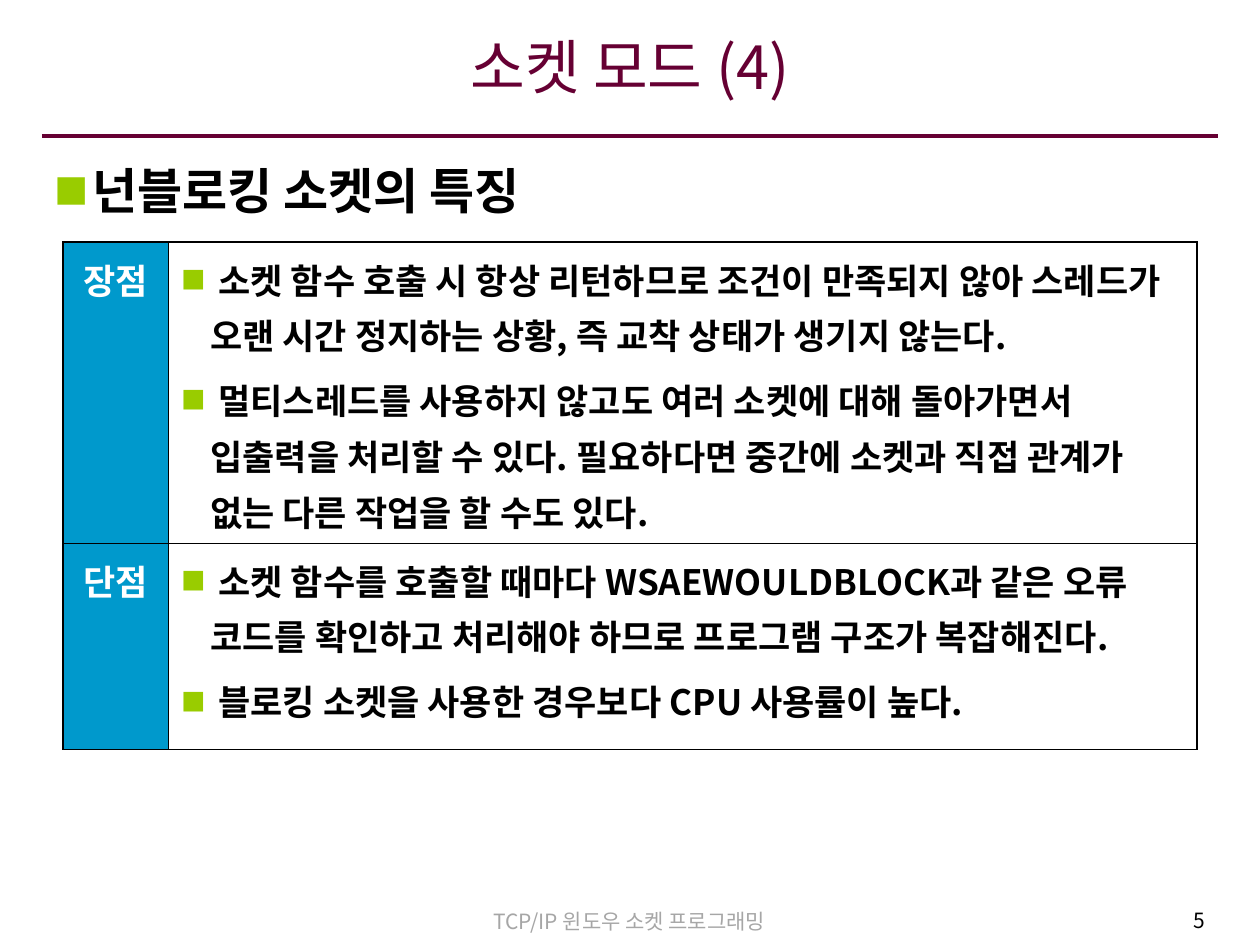
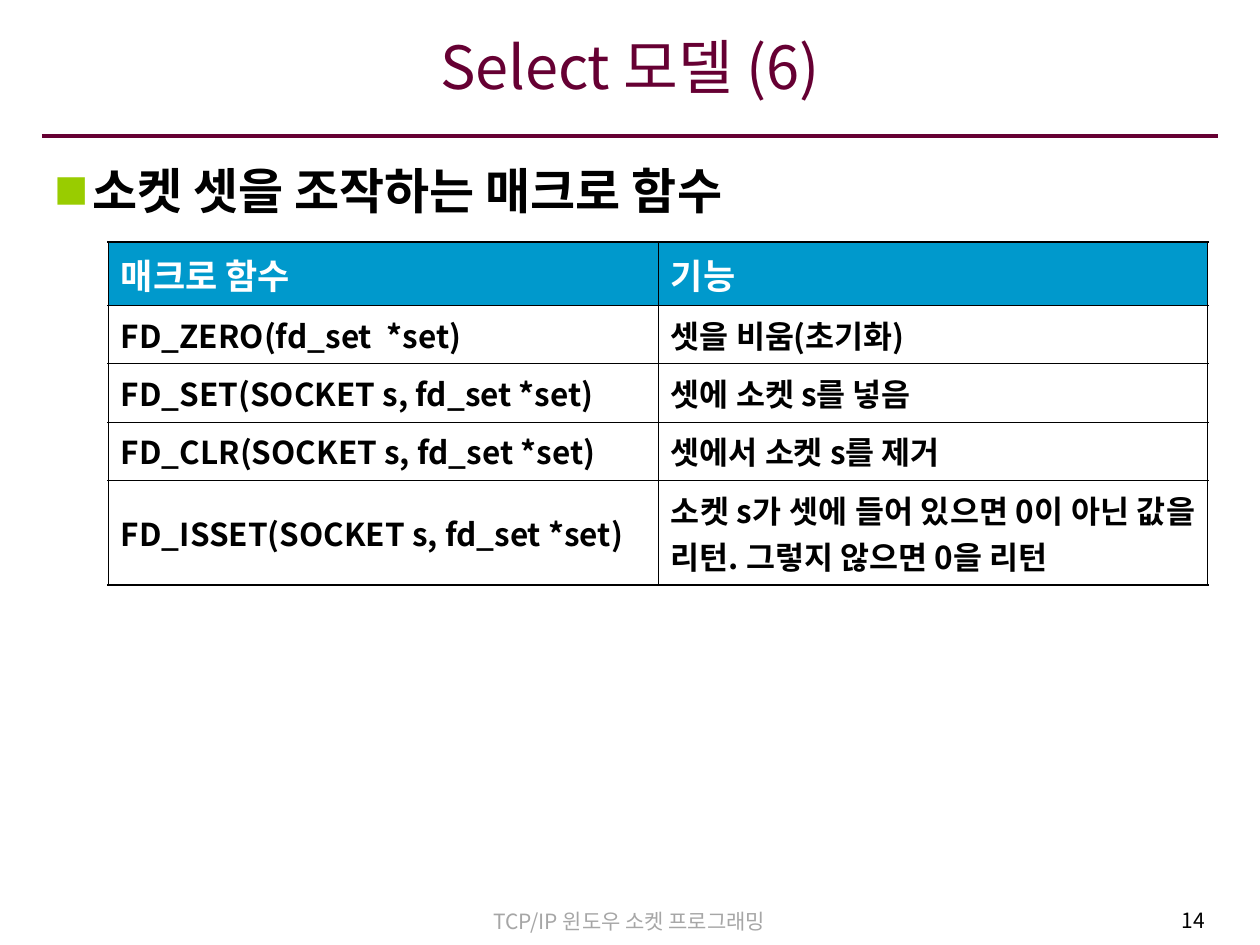
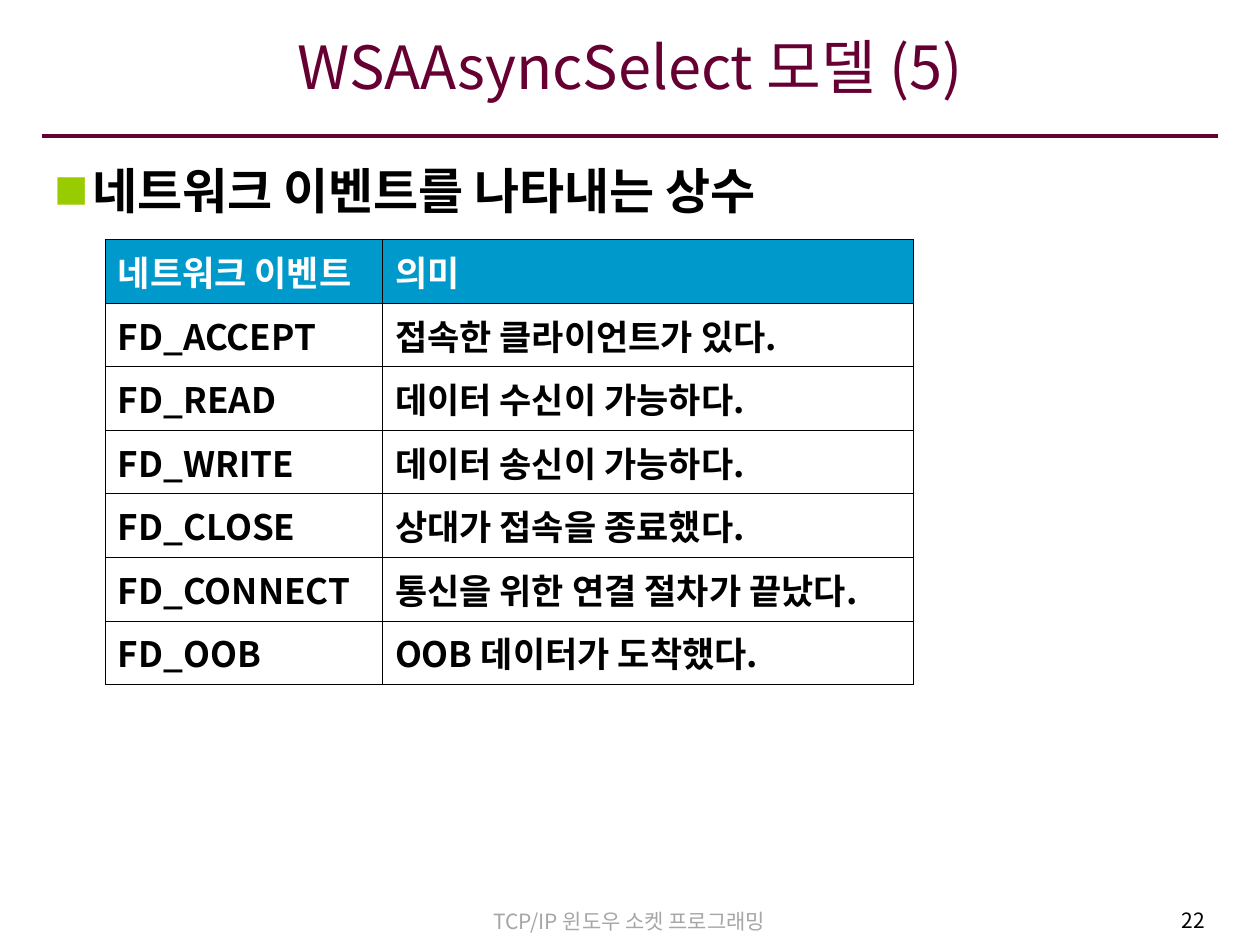
from lxml.etree import SubElement
from pptx import Presentation
from pptx.dml.color import RGBColor
from pptx.enum.shapes import MSO_CONNECTOR
from pptx.enum.text import MSO_ANCHOR, MSO_AUTO_SIZE, PP_ALIGN
from pptx.oxml.ns import qn
from pptx.util import Inches, Pt

FONT = "Noto Sans CJK KR"
PLUM, LIME, BLUE = "660033", "99CC00", "0099CC"
BLACK, WHITE, GREY = "000000", "FFFFFF", "A6A6A6"
THICK, THIN = 1.08, 0.45
LEFT, CENTER, RIGHT, JUSTIFY = (
    PP_ALIGN.LEFT, PP_ALIGN.CENTER, PP_ALIGN.RIGHT, PP_ALIGN.JUSTIFY)
TOP, MIDDLE = MSO_ANCHOR.TOP, MSO_ANCHOR.MIDDLE
FOOTER = "TCP/IP 윈도우 소켓 프로그래밍"


def rgb(hex_color):
    return RGBColor.from_string(hex_color)


def grid(n):
    """Length of n cells of the 100 by 75 slide grid."""
    return Inches(n / 10)


def assign(obj, values):
    for name, value in values.items():
        setattr(obj, name, value)


def add_xml(parent, tag, **attrs):
    return SubElement(parent, qn(tag), attrs)


def add_bullet(p, indent):
    pPr = p._p.get_or_add_pPr()
    pPr.set("marL", str(grid(indent)))
    pPr.set("indent", str(-grid(indent)))
    add_xml(add_xml(pPr, "a:buClr"), "a:srgbClr", val=LIME)
    add_xml(pPr, "a:buSzPct", val="70000")
    add_xml(pPr, "a:buFont", typeface=FONT)
    add_xml(pPr, "a:buChar", char="■")


def add_borders(cell, widths):
    tcPr = cell._tc.get_or_add_tcPr()
    for side, width in zip("LRTB", widths):
        ln = add_xml(tcPr, f"a:ln{side}", w=str(Pt(width)))
        add_xml(add_xml(ln, "a:solidFill"), "a:srgbClr", val=BLACK)


class Deck:
    def __init__(self):
        self.prs = Presentation()
        assign(self.prs, {"slide_width": grid(100), "slide_height": grid(75)})
        self.s = None

    def fill_text(self, tf, lines, size, color, bold=False, bullet=0, **para):
        """Fill a text frame; bullet is the hanging indent in grid cells."""
        lines = [lines] if isinstance(lines, str) else lines
        for i, line in enumerate(lines):
            p = tf.add_paragraph() if i else tf.paragraphs[0]
            assign(p, para)
            if bullet:
                add_bullet(p, bullet)
            r = p.add_run()
            r.text = line
            assign(r.font, {"size": Pt(size), "name": FONT, "bold": bold})
            r.font.color.rgb = rgb(color)
            add_xml(r._r.get_or_add_rPr(), "a:ea", typeface=FONT)

    def place(self, sp, box, **frame):
        assign(sp, dict(zip(("left", "top", "width", "height"), map(grid, box))))
        assign(sp.text_frame, {"word_wrap": True,
                               "auto_size": MSO_AUTO_SIZE.NONE, **frame})
        return sp.text_frame

    def label(self, box, text, color, align):
        sp = self.s.shapes.add_textbox(0, 0, 0, 0)
        self.fill_text(self.place(sp, box), text, 12, color, alignment=align)

    def rule(self, left, right, y):
        line = self.s.shapes.add_connector(
            MSO_CONNECTOR.STRAIGHT, grid(left), grid(y), grid(right), grid(y))
        line.line.color.rgb = rgb(PLUM)
        line.line.width = Pt(2.25)
        add_xml(line._element.spPr, "a:effectLst")

    def slide(self, title, heading, number):
        self.s = self.prs.slides.add_slide(self.prs.slide_layouts[1])
        tf = self.place(self.s.shapes.title, (3.33, 1.5, 93.33, 8.5),
                        vertical_anchor=MIDDLE, margin_left=grid(0.8),
                        margin_right=grid(0.8), margin_bottom=grid(1.6))
        self.fill_text(tf, title, 34, PLUM, alignment=CENTER)
        tf = self.place(self.s.placeholders[1], (3.33, 12.2, 93.33, 58.6),
                        vertical_anchor=TOP)
        self.fill_text(tf, heading, 28, BLACK, True, 3, space_before=Pt(7))
        self.rule(3.33, 96.67, 10.8)
        self.label((28.7, 71.6, 42.5, 3), FOOTER, GREY, CENTER)
        self.label((75.4, 71.5, 21.2, 3.3), str(number), BLACK, RIGHT)

    def table(self, left, top, cols, heights, rows, is_head, size=20,
              outer=THICK, anchor=TOP, aligns=(LEFT, LEFT), bullet=0,
              spacing=0, **para):
        """Draw a table; spacing is the space before as a share of text size."""
        table = self.s.shapes.add_table(
            len(rows), len(cols), grid(left), grid(top),
            grid(sum(cols)), grid(sum(heights))).table
        assign(table, {"first_row": False, "horz_banding": False})
        for col, width in zip(table.columns, cols):
            col.width = grid(width)
        for row, height in zip(table.rows, heights):
            row.height = grid(height)
        for i, row in enumerate(rows):
            for j, text in enumerate(row):
                cell, head = table.cell(i, j), is_head(i, j)
                edges = (j == 0, j == len(cols) - 1, i == 0, i == len(rows) - 1)
                add_borders(cell, [outer if e else THIN for e in edges])
                cell.fill.solid()
                cell.fill.fore_color.rgb = rgb(BLUE if head else WHITE)
                cell.vertical_anchor = anchor
                pt = 20 if head else size
                self.fill_text(cell.text_frame, text, pt,
                               WHITE if head else BLACK, True,
                               0 if head else bullet, alignment=aligns[j],
                               space_before=Pt(pt * spacing), **para)


def first_row(i, j):
    return i == 0


def first_column(i, j):
    return j == 0


PROS_CONS = [
    ("장점", [
        " 소켓 함수 호출 시 항상 리턴하므로 조건이 만족되지 않아 스레드가 오랜 시간 정지하는 상황, 즉 교착 상태가 생기지 않는다.",
        " 멀티스레드를 사용하지 않고도 여러 소켓에 대해 돌아가면서 입출력을 처리할 수 있다. 필요하다면 중간에 소켓과 직접 관계가 없는 다른 작업을 할 수도 있다."]),
    ("단점", [
        " 소켓 함수를 호출할 때마다 WSAEWOULDBLOCK과 같은 오류 코드를 확인하고 처리해야 하므로 프로그램 구조가 복잡해진다.",
        " 블로킹 소켓을 사용한 경우보다 CPU 사용률이 높다."]),
]
MACROS = [
    ("매크로 함수", "기능"),
    ("FD_ZERO(fd_set  *set)", "셋을 비움(초기화)"),
    ("FD_SET(SOCKET s, fd_set *set)", "셋에 소켓 s를 넣음"),
    ("FD_CLR(SOCKET s, fd_set *set)", "셋에서 소켓 s를 제거"),
    ("FD_ISSET(SOCKET s, fd_set *set)",
     "소켓 s가 셋에 들어 있으면 0이 아닌 값을 리턴. 그렇지 않으면 0을 리턴"),
]
EVENTS = [
    ("네트워크 이벤트", "의미"),
    ("FD_ACCEPT", "접속한 클라이언트가 있다."),
    ("FD_READ", "데이터 수신이 가능하다."),
    ("FD_WRITE", "데이터 송신이 가능하다."),
    ("FD_CLOSE", "상대가 접속을 종료했다."),
    ("FD_CONNECT", "통신을 위한 연결 절차가 끝났다."),
    ("FD_OOB", "OOB 데이터가 도착했다."),
]


def main():
    deck = Deck()
    deck.slide("소켓 모드 (4)", "넌블로킹 소켓의 특징", 5)
    deck.table(5, 19.2, (8.4, 81.6), (23.9, 16.4), PROS_CONS, first_column,
               aligns=(CENTER, LEFT), bullet=2.3, spacing=0.25,
               line_spacing=1.1)
    deck.slide("Select 모델 (6)", "소켓 셋을 조작하는 매크로 함수", 14)
    deck.table(8.6, 19.2, (43.65, 43.6), (5.05, 4.6, 4.6, 4.6, 8.3), MACROS,
               first_row, size=18, anchor=MIDDLE, aligns=(LEFT, JUSTIFY),
               spacing=0.25)
    deck.slide("WSAAsyncSelect 모델 (5)", "네트워크 이벤트를 나타내는 상수", 22)
    deck.table(8.35, 19, (22, 42.1), [5.05] * len(EVENTS), EVENTS, first_row,
               outer=THIN)
    deck.prs.save("out.pptx")


if __name__ == "__main__":
    main()
